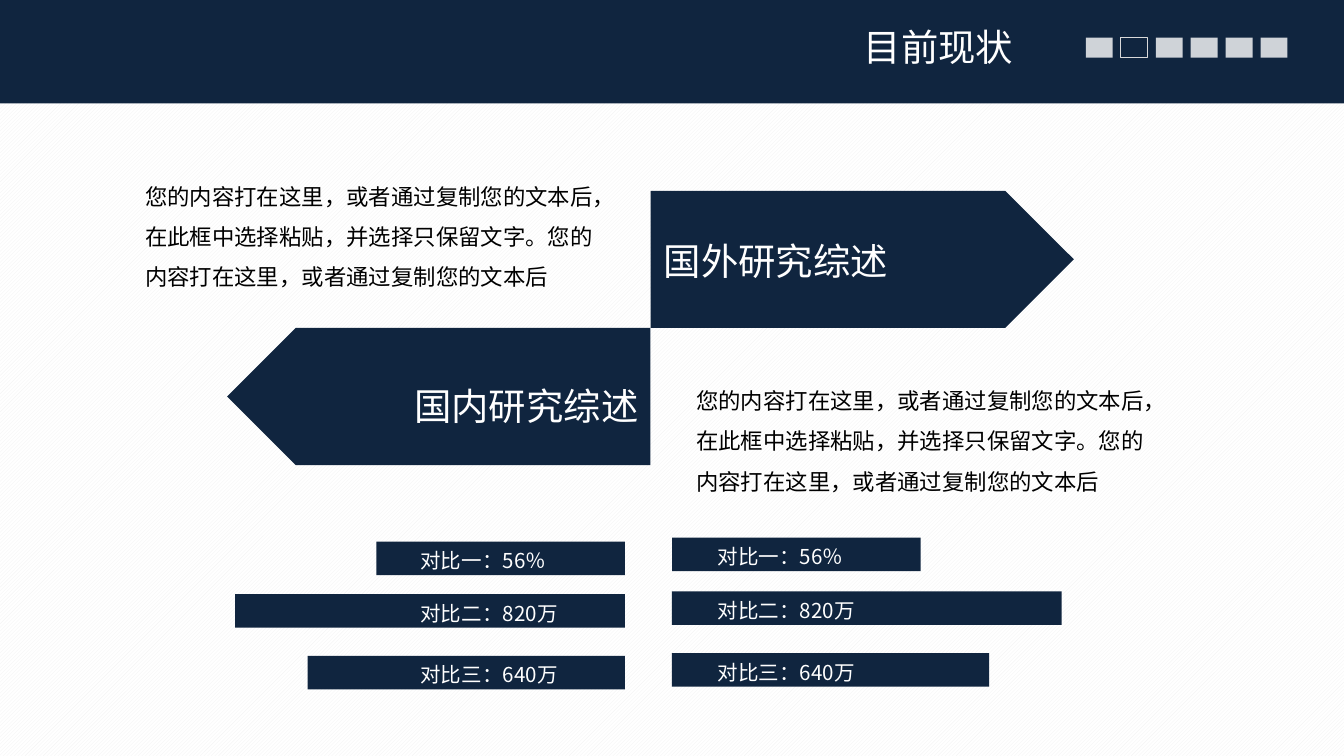
from dataclasses import dataclass

from lxml import etree
from pptx import Presentation
from pptx import util as u
from pptx.dml import color
from pptx.enum import dml, shapes, text
from pptx.oxml import ns


@dataclass(frozen=True)
class Theme:
    navy: str = "10253F"
    white: str = "FFFFFF"
    black: str = "000000"
    edge: str = "D9D9D9"
    hatch: str = "F2F2F2"
    font: str = "Noto Sans CJK SC"
    head: int = 20
    body: int = 12
    label: int = 11


THEME = Theme()
COPY = "您的内容打在这里，或者通过复制您的文本后，在此框中选择粘贴，并选择只保留文字。您的内容打在这里，或者通过复制您的文本后"
ROWS = (("对比一：56％", 1.85, 1.16), ("对比二：820万", 2.9, 1.25), ("对比三：640万", 2.36, 1.25))


def rgb(code):
    return color.RGBColor.from_string(code)


def place(item, left, top, width, height):
    item.left, item.top = u.Inches(left), u.Inches(top)
    item.width, item.height = u.Inches(width), u.Inches(height)


def write(item, words, size, tint, align=text.PP_ALIGN.LEFT, wrap=True, lines=1.0):
    frame = item.text_frame
    frame.text = words
    frame.word_wrap = wrap
    frame.auto_size = text.MSO_AUTO_SIZE.NONE
    frame.vertical_anchor = text.MSO_ANCHOR.TOP
    para = frame.paragraphs[0]
    para.alignment, para.line_spacing, para.space_before = align, lines, u.Pt(0)
    for run in para.runs:
        font = run.font
        font.name, font.size = THEME.font, u.Pt(size)
        font.color.rgb = rgb(tint)
        etree.SubElement(font._element, ns.qn("a:ea"), typeface=THEME.font)


def block(slide, left, top, width, height, kind=shapes.MSO_SHAPE.RECTANGLE, tint=THEME.navy):
    item = slide.shapes.add_shape(kind, *map(u.Inches, (left, top, width, height)))
    item.shadow.inherit = False
    item.fill.solid()
    item.fill.fore_color.rgb = rgb(tint)
    item.line.fill.background()
    return item


def label(slide, left, top, width, height, words, size, **style):
    item = slide.shapes.add_textbox(*map(u.Inches, (left, top, width, height)))
    write(item, words, size, THEME.white, **style)


def prose(item, left, top):
    place(item, left, top, 3.54, 1.01)
    write(item, COPY, THEME.body, THEME.black, lines=1.5)
    props = item.text_frame.paragraphs[0]._p.get_or_add_pPr()
    props.set("marL", "0")
    props.set("indent", "0")
    etree.SubElement(props, ns.qn("a:buNone"))


def header(slide):
    band = block(slide, 0, 0, 10, 0.77)
    slide.shapes._spTree.insert(2, band._element)
    title = slide.shapes.title
    place(title, 3.55, 0.13, 4.09, 0.5)
    write(title, "目前现状", THEME.head, THEME.white, align=text.PP_ALIGN.RIGHT)


def pager(slide, active=1):
    for step in range(6):
        mark = block(slide, 8.08 + 0.26 * step, 0.28, 0.2, 0.15, tint=THEME.white)
        if step == active:
            mark.fill.background()
            mark.line.color.rgb = rgb(THEME.edge)
            mark.line.width = u.Pt(0.5)
        else:
            tone = mark._element.spPr.find(".//" + ns.qn("a:srgbClr"))
            etree.SubElement(tone, ns.qn("a:alpha"), val="80000")


def arrows(slide):
    kind = shapes.MSO_SHAPE.PENTAGON
    block(slide, 4.84, 1.42, 3.15, 1.02, kind)
    left = block(slide, 1.69, 2.44, 3.15, 1.02, kind)
    left._element.spPr.xfrm.set("flipH", "1")
    label(slide, 2.17, 2.8, 2.68, 0.44, "国内研究综述", THEME.head, align=text.PP_ALIGN.RIGHT)
    label(slide, 4.84, 1.72, 2.68, 0.44, "国外研究综述", THEME.head)


def bars(slide, edge, start, tops, mirror=False):
    for top, (words, width, room) in zip(tops, ROWS):
        block(slide, edge - width if mirror else edge, top, width, 0.25)
        label(slide, start, top, room, 0.29, words, THEME.label, wrap=False)


def main():
    deck = Presentation()
    deck.slide_width = u.Inches(10)
    deck.slide_height = deck.slide_width * 9 // 16
    slide = deck.slides.add_slide(deck.slide_layouts.get_by_name("Two Content"))
    back = slide.background.fill
    back.patterned()
    back.pattern = dml.MSO_PATTERN.LIGHT_UPWARD_DIAGONAL
    back.fore_color.rgb, back.back_color.rgb = rgb(THEME.hatch), rgb(THEME.white)
    header(slide)
    pager(slide)
    arrows(slide)
    prose(slide.placeholders[1], 0.98, 1.21)
    prose(slide.placeholders[2], 5.08, 2.73)
    bars(slide, 4.65, 3.03, (4.03, 4.42, 4.88), mirror=True)
    bars(slide, 5, 5.24, (4, 4.4, 4.86))
    deck.save("out.pptx")


if __name__ == "__main__":
    main()
